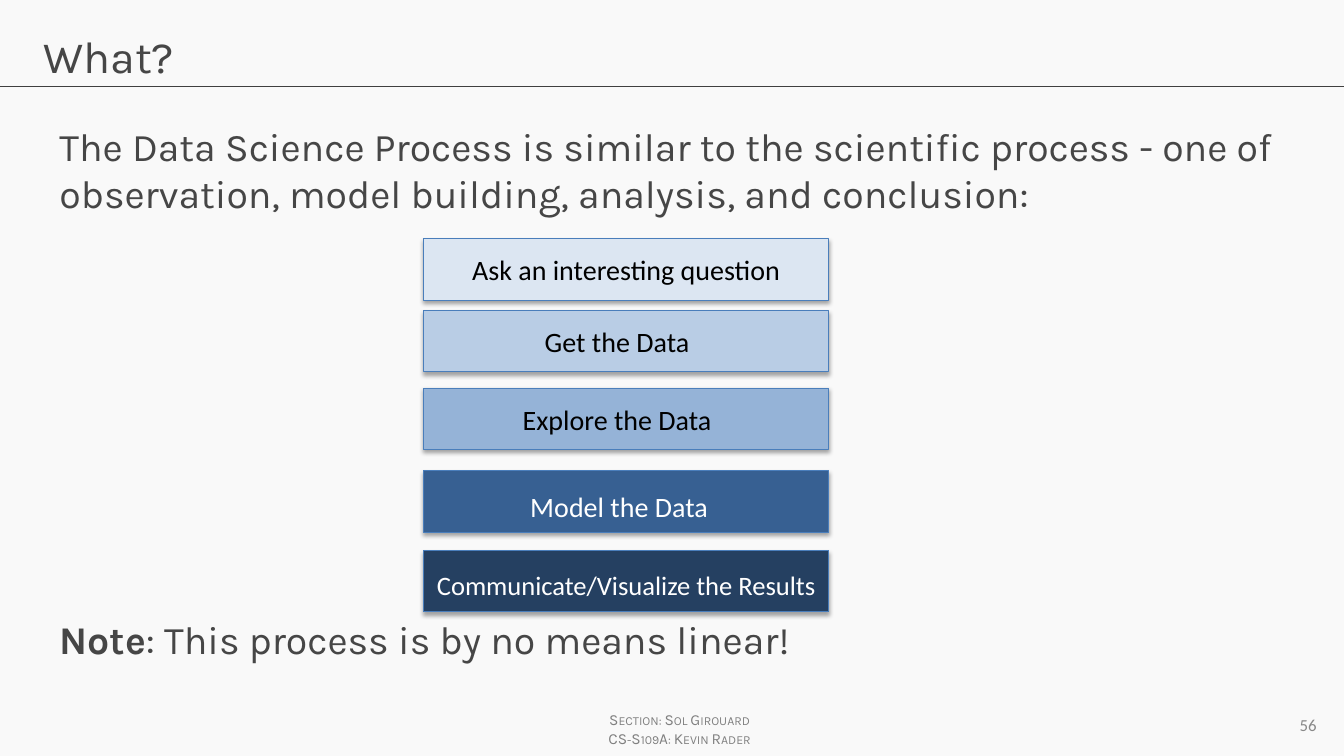
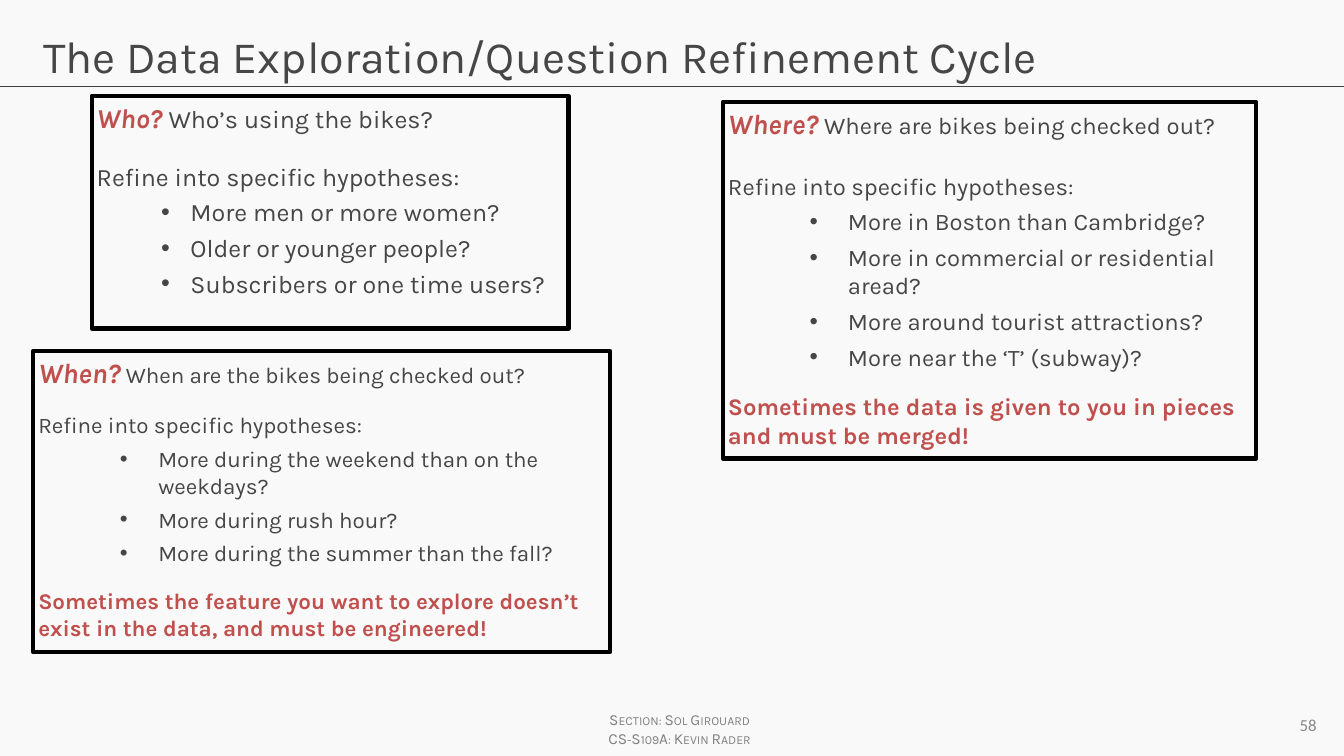
from dataclasses import dataclass
from lxml.etree import SubElement
from pptx import Presentation
from pptx.dml.color import RGBColor
from pptx.enum.shapes import MSO_CONNECTOR, MSO_SHAPE
from pptx.enum.text import MSO_ANCHOR, PP_ALIGN
from pptx.oxml.ns import qn
from pptx.util import Emu, Pt

PX = 9144  # EMU per px, 100 px to the inch


@dataclass(frozen=True)
class Theme:
    background: str = "F9F9F9"
    text: str = "464646"
    accent: str = "C0504D"
    rule: str = "404040"
    footer: str = "808080"
    number: str = "888888"
    step_line: str = "4A7EBB"
    black: str = "000000"
    white: str = "FFFFFF"
    heading_font: str = "Karla"
    label_font: str = "Calibri"
    title_size: int = 32
    body_size: int = 28
    step_size: int = 20
    footer_size: int = 11
    number_size: int = 12
    inset: int = 5


THEME = Theme()


@dataclass(frozen=True)
class Step:
    label: str
    top: int
    fill: str
    color: str = THEME.black
    size: int = THEME.step_size
    right: int = 0  # label offset from the middle of the bar
    down: int = 0


@dataclass(frozen=True)
class Question:
    box: tuple
    word: str
    question: str
    hypotheses: tuple
    warning: str = ""
    word_size: float = 20
    size: float = 17
    refine_gap: int = 12
    gap: int = 5
    indent: int = 119
    hanging: int = 38


STEPS = (
    Step("Ask an interesting question", 237, "DCE6F2"),
    Step("Get the Data", 308, "B9CDE5", right=-9),
    Step("Explore the Data", 385, "95B3D7", right=-9),
    Step("Model the Data", 467, "376092", THEME.white, right=-7, down=5),
    Step("Communicate/Visualize the Results", 546, "254061", THEME.white, 19, down=4),
)

QUESTIONS = (
    Question(
        (91, 95, 473, 231), "Who?", "Who’s using the bikes?",
        ("More men or more women?", "Older or younger people?",
         "Subscribers or one time users?"),
        word_size=19.5, size=17.9, refine_gap=9, gap=4, indent=93, hanging=29),
    Question(
        (717, 101, 529, 354), "Where?", "Where are bikes being checked out?",
        ("More in Boston than Cambridge?", "More in commercial or residential aread?",
         "More around tourist attractions?", "More near the ‘T’ (subway)?"),
        "Sometimes the data is given to you in pieces and must be merged!"),
    Question(
        (33, 348, 572, 299), "When?", "When are the bikes being checked out?",
        ("More during the weekend than on the weekdays?", "More during rush hour?",
         "More during the summer than the fall?"),
        "Sometimes the feature you want to explore doesn’t exist in the data, "
        "and must be engineered!",
        size=16, refine_gap=6),
)


def px(*lengths):
    return [Emu(length * PX) for length in lengths]


def rgb(color):
    return RGBColor.from_string(color)


def add_text(paragraph, text, *, size, color=THEME.text, font=THEME.heading_font,
             bold=False, italic=False, small_caps=False):
    run = paragraph.add_run()
    run.text = text
    run.font.size = Pt(size)
    run.font.name = font
    run.font.bold = bold
    run.font.italic = italic
    run.font.color.rgb = rgb(color)
    if small_caps:
        run.font._element.set("cap", "small")


def prepare_frame(shape, anchor=MSO_ANCHOR.TOP):
    frame = shape.text_frame
    frame.word_wrap = True
    frame.vertical_anchor = anchor
    inset = Emu(THEME.inset * PX)
    frame.margin_left = frame.margin_right = inset
    frame.margin_top = frame.margin_bottom = inset
    return frame


def add_text_box(slide, box, anchor=MSO_ANCHOR.TOP):
    return prepare_frame(slide.shapes.add_textbox(*px(*box)), anchor)


def add_rectangle(slide, box, line, width, fill=None):
    shape = slide.shapes.add_shape(MSO_SHAPE.RECTANGLE, *px(*box))
    shape.shadow.inherit = False
    if fill:
        shape.fill.solid()
        shape.fill.fore_color.rgb = rgb(fill)
    else:
        shape.fill.background()
    shape.line.color.rgb = rgb(line)
    shape.line.width = Pt(width)
    return shape


def add_drop_shadow(shape):
    effects = shape._element.spPr.find(qn("a:effectLst"))
    shadow = SubElement(effects, qn("a:outerShdw"), blurRad=str(Pt(3)),
                        dist=str(Pt(1.8)), dir="5400000", rotWithShape="0")
    color = SubElement(shadow, qn("a:srgbClr"), val=THEME.black)
    SubElement(color, qn("a:alpha"), val="35000")


def add_bullet(paragraph, indent, hanging):
    properties = paragraph._p.get_or_add_pPr()
    properties.set("marL", str(indent * PX))
    properties.set("indent", str(-hanging * PX))
    SubElement(properties, qn("a:buFont"), typeface="Arial")
    SubElement(properties, qn("a:buChar"), char="•")


def add_base_slide(presentation, title, number):
    """Blank slide with title, rule, footer and page number."""
    slide = presentation.slides.add_slide(presentation.slide_layouts[6])
    slide.background.fill.solid()
    slide.background.fill.fore_color.rgb = rgb(THEME.background)

    # Rule below the title
    rule = slide.shapes.add_connector(MSO_CONNECTOR.STRAIGHT, *px(0, 86, 1333, 86))
    rule.line.color.rgb = rgb(THEME.rule)
    rule.line.width = Pt(0.75)
    SubElement(rule._element.spPr, qn("a:effectLst"))

    # Footer
    frame = add_text_box(slide, (584, 700, 180, 46))
    for index, text in enumerate(("Section: Sol Girouard", "CS-S109A: Kevin Rader")):
        paragraph = frame.add_paragraph() if index else frame.paragraphs[0]
        paragraph.alignment = PP_ALIGN.CENTER
        add_text(paragraph, text, size=THEME.footer_size, color=THEME.footer,
                 small_caps=True)

    # Title
    frame = add_text_box(slide, (38, 24, 1257, 84))
    add_text(frame.paragraphs[0], title, size=THEME.title_size)

    # Page number
    frame = add_text_box(slide, (1231, 706, 80, 27), MSO_ANCHOR.MIDDLE)
    frame.paragraphs[0].alignment = PP_ALIGN.RIGHT
    add_text(frame.paragraphs[0], str(number), size=THEME.number_size,
             color=THEME.number, font=THEME.label_font)
    return slide


def add_step(slide, step, left=420, width=402, height=61):
    shape = add_rectangle(slide, (left, step.top, width, height),
                          THEME.step_line, 0.75, step.fill)
    add_drop_shadow(shape)
    frame = prepare_frame(shape, MSO_ANCHOR.MIDDLE)
    # A margin grown by twice the offset moves centred text by the offset
    frame.margin_right = Emu((THEME.inset - 2 * step.right) * PX)
    frame.margin_top = Emu((THEME.inset + 2 * step.down) * PX)
    frame.paragraphs[0].alignment = PP_ALIGN.CENTER
    add_text(frame.paragraphs[0], step.label, size=step.size, color=step.color,
             font=THEME.label_font)


def add_question(slide, question):
    shape = add_rectangle(slide, question.box, THEME.black, 3)
    frame = prepare_frame(shape)
    section_gap = 0.6 * question.size  # half a line between sections

    def new_paragraph(space):
        paragraph = frame.add_paragraph()
        paragraph.alignment = PP_ALIGN.LEFT
        paragraph.space_before = Pt(space)
        return paragraph

    # Question
    heading = frame.paragraphs[0]
    heading.alignment = PP_ALIGN.LEFT
    add_text(heading, question.word, size=question.word_size, color=THEME.accent,
             bold=True, italic=True)
    add_text(heading, " " + question.question, size=question.size)

    # Hypotheses
    add_text(new_paragraph(question.refine_gap + section_gap),
             "Refine into specific hypotheses:", size=question.size)
    for hypothesis in question.hypotheses:
        paragraph = new_paragraph(question.gap)
        add_bullet(paragraph, question.indent, question.hanging)
        add_text(paragraph, hypothesis, size=question.size)

    # Warning
    if question.warning:
        add_text(new_paragraph(question.gap + section_gap), question.warning,
                 size=question.size, color=THEME.accent, bold=True)


def add_process_slide(presentation):
    slide = add_base_slide(presentation, "What?", 56)
    frame = add_text_box(slide, (54, 116, 1227, 110))
    add_text(frame.paragraphs[0],
             "The Data Science Process is similar to the scientific process - one of "
             "observation, model building, analysis, and conclusion:",
             size=THEME.body_size)
    for step in STEPS:
        add_step(slide, step)
    note = add_text_box(slide, (54, 606, 1227, 60)).paragraphs[0]
    add_text(note, "Note", size=THEME.body_size, bold=True)
    add_text(note, ": This process is by no means linear!", size=THEME.body_size)


def add_cycle_slide(presentation):
    slide = add_base_slide(
        presentation, "The Data Exploration/Question Refinement Cycle", 58)
    for question in QUESTIONS:
        add_question(slide, question)


def main():
    presentation = Presentation()
    presentation.slide_width, presentation.slide_height = px(1333, 750)
    add_process_slide(presentation)
    add_cycle_slide(presentation)
    presentation.save("out.pptx")


if __name__ == "__main__":
    main()
